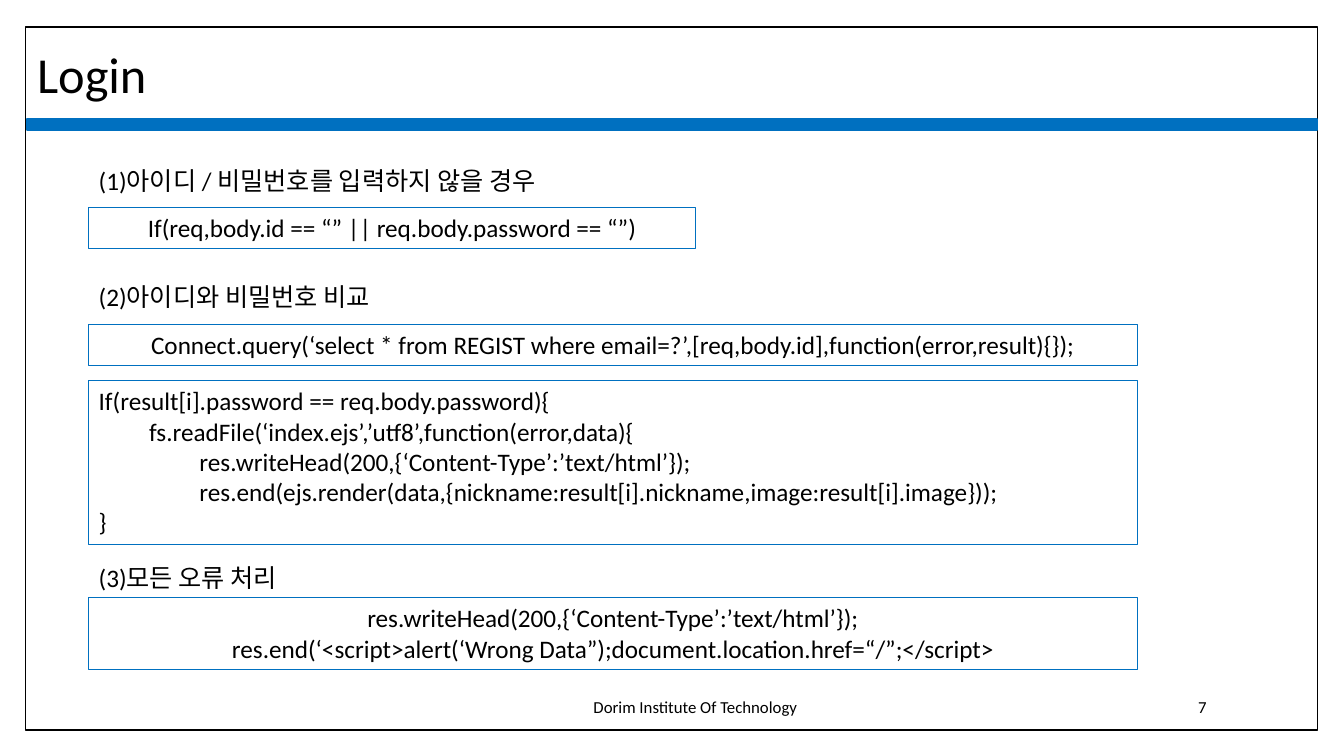
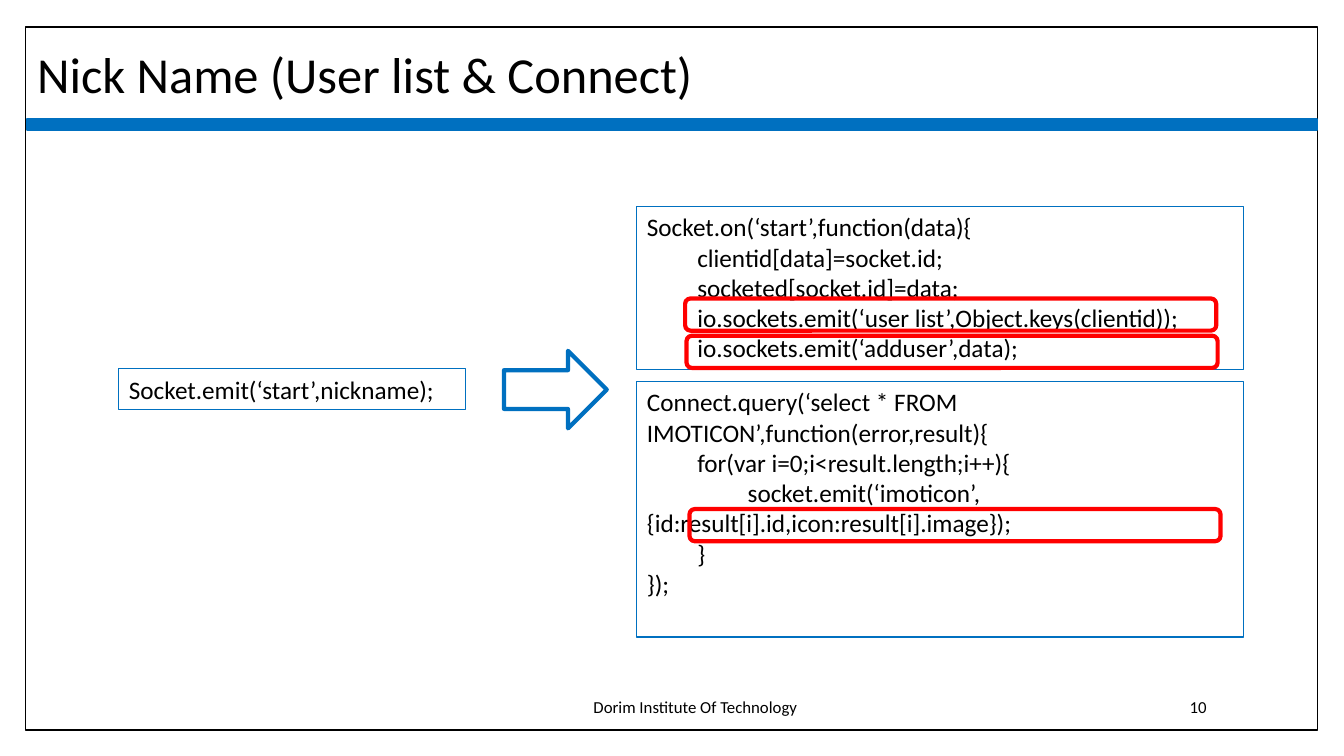
from pptx import Presentation
from pptx.dml.color import RGBColor
from pptx.enum.shapes import MSO_SHAPE as Shape
from pptx.enum.text import MSO_ANCHOR as Anchor, PP_ALIGN as Align
from pptx.util import Pt

COLORS = {"ink": "000000", "paper": "FFFFFF", "accent": "0070C0", "alert": "FF0000"}
FONT = "Calibri"
FOOTER = "Dorim Institute Of Technology"
CODE_SIZE = 18
LINE_HEIGHT = 21.9
INSET_HEIGHT = 7.2
TAB = 36


def color(name):
    return RGBColor.from_string(COLORS[name])


class Deck:
    def __init__(self):
        self.prs = Presentation()
        self.prs.slide_width, self.prs.slide_height = Pt(960), Pt(540)
        self.slide = None

    def start(self, title, number):
        self.slide = self.prs.slides.add_slide(self.prs.slide_layouts[6])
        self.shape(Shape.RECTANGLE, 18, 19.4, 923, 502, "ink", 1, "paper")
        self.shape(Shape.RECTANGLE, 19.4, 85, 921.6, 7.9, "accent", 1.5, "accent")
        heading = self.label(title, 19.4, 32.4, 828, 104.4, 36)
        heading.text_frame.paragraphs[0].line_spacing = 0.9
        self.label(FOOTER, 311, 490.3, 371.5, 28.8, 12, Align.CENTER, Anchor.MIDDLE)
        self.label(str(number), 734.4, 490.3, 134.6, 28.8, 12, Align.RIGHT, Anchor.MIDDLE)

    def shape(self, kind, left, top, width, height, line, weight, fill=None):
        outline = self.slide.shapes.add_shape(kind, Pt(left), Pt(top), Pt(width), Pt(height))
        outline.shadow.inherit = False
        if fill:
            outline.fill.solid()
            outline.fill.fore_color.rgb = color(fill)
        else:
            outline.fill.background()
        outline.line.color.rgb = color(line)
        outline.line.width = Pt(weight)
        return outline

    def set_text(self, holder, text, size, align, anchor):
        frame = holder.text_frame
        frame.word_wrap = True
        frame.vertical_anchor = anchor
        lines = text.split("\n")
        frame.text = "\n".join(line.lstrip("\t") for line in lines)
        for line, paragraph in zip(lines, frame.paragraphs):
            paragraph.alignment = align
            depth = len(line) - len(line.lstrip("\t"))
            if depth:
                properties = paragraph._p.get_or_add_pPr()
                properties.set("marL", "0")
                properties.set("indent", str(Pt(depth * TAB)))
            for run in paragraph.runs:
                run.font.name = FONT
                run.font.size = Pt(size)
                run.font.color.rgb = color("ink")

    def label(self, text, left, top, width, height, size, align=Align.LEFT, anchor=Anchor.TOP):
        holder = self.slide.shapes.add_textbox(Pt(left), Pt(top), Pt(width), Pt(height))
        self.set_text(holder, text, size, align, anchor)
        return holder

    def step(self, text, top):
        self.label(text, 63.4, top, 433.4, LINE_HEIGHT + INSET_HEIGHT, CODE_SIZE)

    def code(self, text, left, top, width, align=Align.LEFT, rows=None):
        rows = rows or text.count("\n") + 1
        height = rows * LINE_HEIGHT + INSET_HEIGHT
        holder = self.shape(Shape.RECTANGLE, left, top, width, height, "accent", 0.75)
        self.set_text(holder, text, CODE_SIZE, align, Anchor.TOP)

    def highlight(self, left, top):
        self.shape(Shape.ROUNDED_RECTANGLE, left, top, 379.4, 23, "alert", 3)


LOGIN_CHECK = """If(result[i].password == req.body.password){
\tfs.readFile(‘index.ejs’,’utf8’,function(error,data){
\t\tres.writeHead(200,{‘Content-Type’:’text/html’});
\t\tres.end(ejs.render(data,{nickname:result[i].nickname,image:result[i].image}));
}"""

LOGIN_ERROR = """res.writeHead(200,{‘Content-Type’:’text/html’});
res.end(‘<script>alert(‘Wrong Data”);document.location.href=“/”;</script>"""

START_HANDLER = """Socket.on(‘start’,function(data){
\tclientid[data]=socket.id;
\tsocketed[socket.id]=data;
\tio.sockets.emit(‘user list’,Object.keys(clientid));
\tio.sockets.emit(‘adduser’,data);"""

EMOTICON_QUERY = """Connect.query(‘select * FROM IMOTICON’,function(error,result){
\tfor(var i=0;i<result.length;i++){
\t\tsocket.emit(‘imoticon’,{id:result[i].id,icon:result[i].image});
\t}
});"""


def login(deck):
    left, wide = 63.4, 749
    deck.start("Login", 7)
    deck.step("(1)아이디 / 비밀번호를 입력하지 않을 경우", 114.5)
    deck.code("If(req,body.id == “” || req.body.password == “”)", left, 148.3, 433.4, Align.CENTER)
    deck.step("(2)아이디와 비밀번호 비교", 197.3)
    deck.code(
        "Connect.query(‘select * from REGIST where email=?’,[req,body.id],function(error,result){});",
        left, 231.8, wide, Align.CENTER)
    deck.code(LOGIN_CHECK, left, 272, wide, Align.JUSTIFY)
    deck.step("(3)모든 오류 처리", 398.2)
    deck.code(LOGIN_ERROR, left, 427, wide, Align.CENTER)


def nick_name(deck):
    left, width = 455, 433.4
    deck.start("Nick Name (User list & Connect)", 10)
    deck.code("Socket.emit(‘start’,nickname);", 85, 263.5, 247.7)
    deck.code(START_HANDLER, left, 147.6, width)
    deck.code(EMOTICON_QUERY, left, 272.6, width, rows=8)
    deck.shape(Shape.RIGHT_ARROW, 360, 250.6, 73.4, 55.4, "accent", 3)
    for mark_left, mark_top in ((489.4, 213.2), (490.4, 239.8), (492.5, 363.6)):
        deck.highlight(mark_left, mark_top)


def main():
    deck = Deck()
    login(deck)
    nick_name(deck)
    deck.prs.save("out.pptx")


if __name__ == "__main__":
    main()
